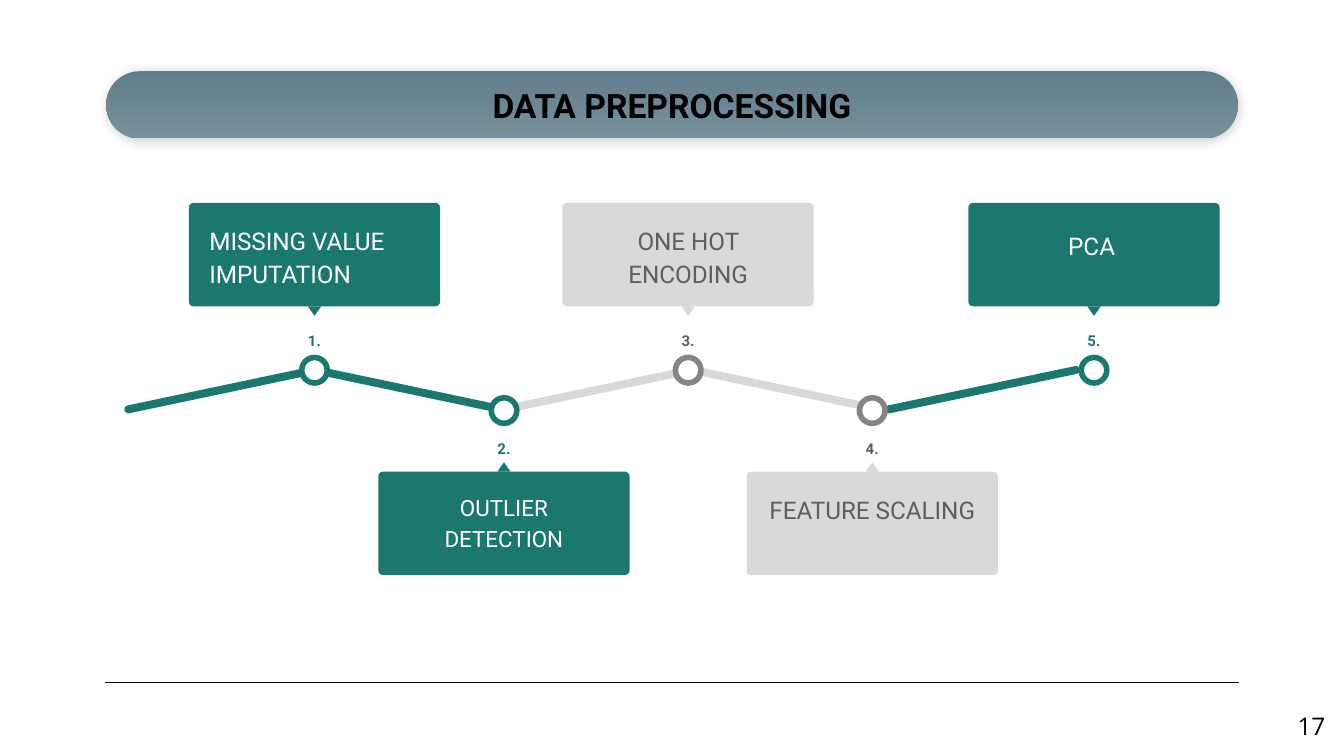
from dataclasses import dataclass

from lxml import etree
from pptx import Presentation
from pptx.dml.color import RGBColor
from pptx.enum.shapes import MSO_CONNECTOR, MSO_SHAPE
from pptx.enum.text import MSO_ANCHOR, MSO_AUTO_SIZE, PP_ALIGN
from pptx.oxml.ns import qn
from pptx.util import Inches, Pt


@dataclass(frozen=True)
class Theme:
    teal: str = "1B786E"
    silver: str = "D9D9D9"
    ring_grey: str = "858585"
    text_grey: str = "5E5E5E"
    white: str = "FFFFFF"
    black: str = "000000"
    banner_top: str = "607D8B"
    banner_bottom: str = "78909C"
    font: str = "Roboto"
    page_font: str = "Open Sans"
    title_size: float = 18
    card_size: float = 13
    small_card_size: float = 12
    number_size: float = 8


THEME = Theme()


@dataclass(frozen=True)
class Palette:
    fill: str
    ring: str
    number: str
    text: str


ACTIVE = Palette(THEME.teal, THEME.teal, THEME.teal, THEME.white)
MUTED = Palette(THEME.silver, THEME.ring_grey, THEME.text_grey, THEME.text_grey)


@dataclass(frozen=True)
class Tier:
    card: float
    pointer: float
    number: float
    dot: float
    pointer_turn: float


UPPER = Tier(card=1.51, pointer=2.28, number=2.35, dot=2.66, pointer_turn=180)
LOWER = Tier(card=3.51, pointer=3.44, number=3.15, dot=2.96, pointer_turn=0)


@dataclass(frozen=True)
class Step:
    label: str
    center: float
    path_left: float
    path_color: str
    palette: Palette
    align: PP_ALIGN = PP_ALIGN.CENTER
    size: float = THEME.card_size
    indent: float = 0
    drop: float = 0


STEPS = [
    Step("MISSING VALUE IMPUTATION", 2.34, 0.91, THEME.teal, ACTIVE, PP_ALIGN.LEFT),
    Step("OUTLIER DETECTION", 3.75, 2.3, THEME.teal, ACTIVE, size=THEME.small_card_size),
    Step("ONE HOT ENCODING", 5.12, 3.71, THEME.silver, MUTED),
    Step("FEATURE SCALING", 6.49, 5.11, THEME.silver, MUTED),
    Step("PCA", 8.14, 6.57, THEME.teal, ACTIVE, PP_ALIGN.LEFT, indent=0.59, drop=0.04),
]


def rgb(color: str) -> RGBColor:
    return RGBColor.from_string(color)


def write(shape, text: str, size: float, color: str, align: PP_ALIGN,
          bold: bool = False, font: str = THEME.font):
    """Fill a shape with one formatted paragraph and return the paragraph."""
    frame = shape.text_frame
    frame.text = text
    frame.word_wrap = True
    frame.auto_size = MSO_AUTO_SIZE.NONE
    frame.margin_left = frame.margin_right = Inches(0.1)
    frame.margin_top = frame.margin_bottom = Inches(0.1)
    paragraph = frame.paragraphs[0]
    paragraph.alignment = align
    for run in paragraph.runs:
        run.font.name, run.font.size = font, Pt(size)
        run.font.bold, run.font.color.rgb = bold, rgb(color)
    return paragraph


def add_block(shapes, kind: MSO_SHAPE, left: float, top: float, width: float,
              height: float, fill: str, turn: float = 0, corner: float | None = None):
    block = shapes.add_shape(kind, Inches(left), Inches(top), Inches(width), Inches(height))
    block.shadow.inherit = False
    block.fill.solid()
    block.fill.fore_color.rgb = rgb(fill)
    block.line.fill.background()
    block.rotation = turn
    if corner is not None:
        block.adjustments[0] = corner
    return block


def add_label(shapes, left: float, top: float, width: float, height: float):
    return shapes.add_textbox(Inches(left), Inches(top), Inches(width), Inches(height))


def add_banner(slide) -> None:
    title = slide.shapes.title
    banner = add_block(slide.shapes, MSO_SHAPE.ROUNDED_RECTANGLE, 0.79, 0.53, 8.42, 0.5,
                       THEME.banner_top, corner=0.5)
    banner.fill.gradient()
    banner.fill.gradient_angle = 270
    for stop, color in zip(banner.fill.gradient_stops, (THEME.banner_top, THEME.banner_bottom)):
        stop.color.rgb = rgb(color)
    # Soft shadow under the banner
    effects = banner._element.spPr.find(qn("a:effectLst"))
    shadow = etree.SubElement(effects, qn("a:outerShdw"), blurRad=str(Pt(5.6)),
                              dist=str(Pt(0.8)), dir=str(66 * 60000), rotWithShape="0")
    tint = etree.SubElement(shadow, qn("a:srgbClr"), val=THEME.black)
    etree.SubElement(tint, qn("a:alpha"), val="20000")
    # The title sits in front of the banner
    title._element.addprevious(banner._element)
    title.left, title.top = Inches(2.47), Inches(0.53)
    title.width, title.height = Inches(5.06), Inches(0.5)
    write(title, "DATA PREPROCESSING", THEME.title_size, THEME.black, PP_ALIGN.CENTER, bold=True)
    title.text_frame.vertical_anchor = MSO_ANCHOR.MIDDLE


def add_footer(slide) -> None:
    rule = slide.shapes.add_connector(MSO_CONNECTOR.STRAIGHT, Inches(0.78), Inches(5.08),
                                      Inches(9.22), Inches(5.08))
    rule.line.color.rgb = rgb(THEME.black)
    rule.line.width = Pt(0.75)
    etree.SubElement(rule._element.spPr, qn("a:effectLst"))
    page = add_label(slide.shapes, 9.36, 5.19, 0.6, 0.43)
    write(page, "17", THEME.card_size, THEME.black, PP_ALIGN.RIGHT, font=THEME.page_font)


def add_step(slide, number: int, step: Step, tier: Tier) -> None:
    shapes, colors = slide.shapes.add_group_shape().shapes, step.palette
    # Card with its pointer
    add_block(shapes, MSO_SHAPE.ROUNDED_RECTANGLE, step.center - 1.87 / 2, tier.card,
              1.87, 0.77, colors.fill, corner=0.045)
    add_block(shapes, MSO_SHAPE.ISOSCELES_TRIANGLE, step.center - 0.05, tier.pointer,
              0.1, 0.07, colors.fill, turn=tier.pointer_turn)
    # Ring on the path
    ring = add_block(shapes, MSO_SHAPE.OVAL, step.center - 0.19 / 2, tier.dot,
                     0.19, 0.19, THEME.white)
    ring.line.color.rgb = rgb(colors.ring)
    ring.line.width = Pt(3)
    # Number and caption
    index = add_label(shapes, step.center - 0.38, tier.number, 0.76, 0.3)
    caption = add_label(shapes, step.center - 0.88, tier.card + 0.04 + step.drop, 1.76, 0.68)
    paragraphs = [
        write(index, f"{number}.", THEME.number_size, colors.number, PP_ALIGN.CENTER, bold=True),
        write(caption, step.label, step.size, colors.text, step.align),
    ]
    for paragraph in paragraphs:
        paragraph.line_spacing = 1.15
        paragraph.space_after = Pt(16)
    if step.indent:
        paragraphs[1]._p.get_or_add_pPr().set("indent", str(Inches(step.indent)))


def main() -> None:
    deck = Presentation()
    # Widescreen, 16:9
    deck.slide_width = Inches(10)
    deck.slide_height = deck.slide_width * 9 // 16
    slide = deck.slides.add_slide(deck.slide_layouts[5])
    add_banner(slide)
    add_footer(slide)
    # Zigzag path: odd segments rise, even ones fall
    for number, step in enumerate(STEPS, 1):
        add_block(slide.shapes, MSO_SHAPE.ROUNDED_RECTANGLE, step.path_left, 2.87, 1.48, 0.06,
                  step.path_color, turn=-11.9 if number % 2 else 11.9, corner=0.5)
    # Steps alternate above and below the path
    for number, step in enumerate(STEPS, 1):
        add_step(slide, number, step, UPPER if number % 2 else LOWER)
    deck.save("out.pptx")


if __name__ == "__main__":
    main()
